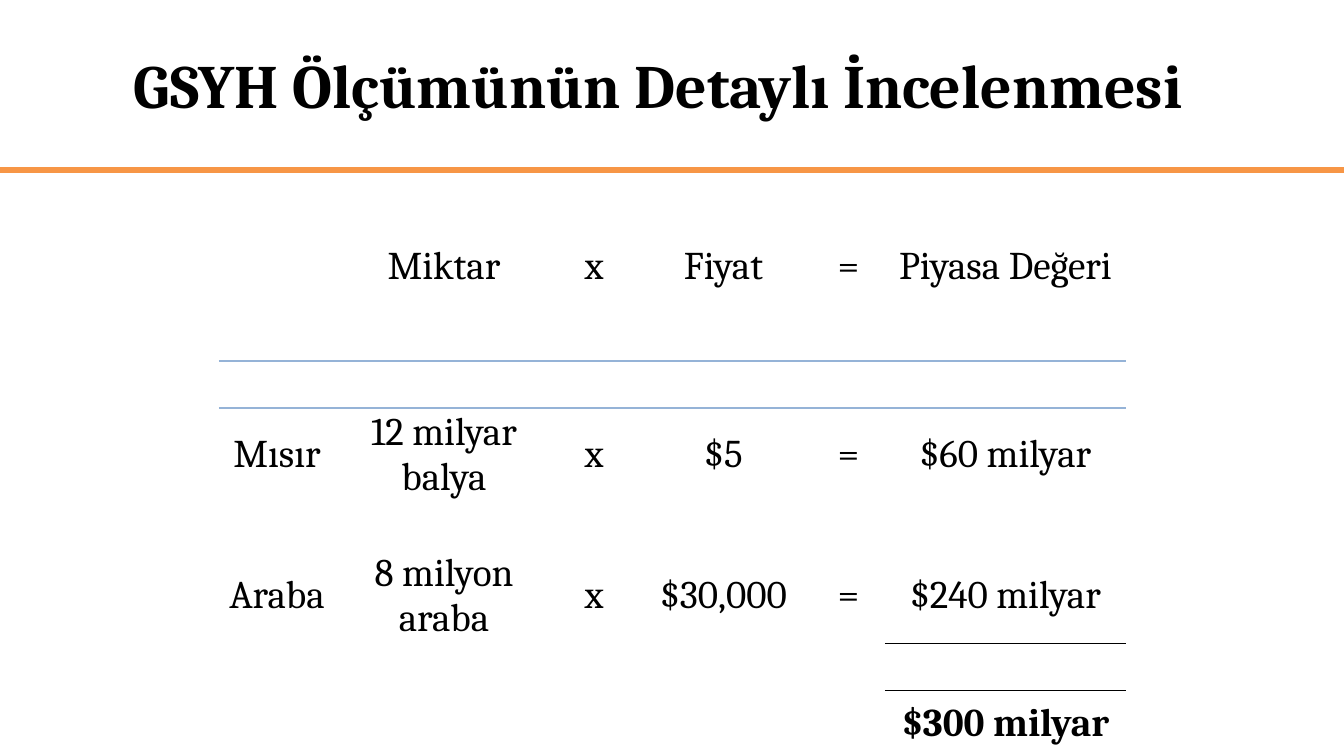
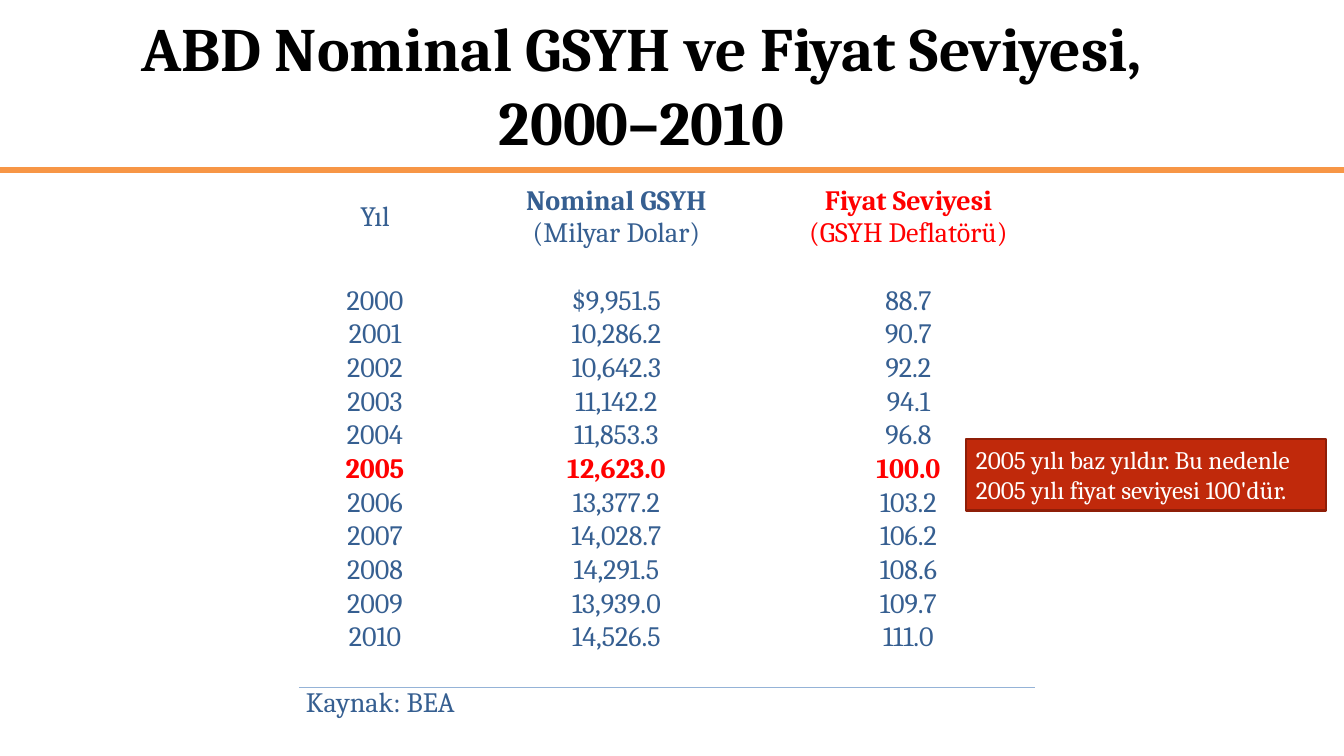
from lxml import etree
from pptx import Presentation
from pptx.dml.color import RGBColor
from pptx.enum.shapes import MSO_CONNECTOR, MSO_SHAPE
from pptx.enum.text import MSO_ANCHOR, PP_ALIGN
from pptx.oxml.ns import qn
from pptx.util import Pt

STRAIGHT, RECT = MSO_CONNECTOR.STRAIGHT, MSO_SHAPE.RECTANGLE
LEFT, CENTER = PP_ALIGN.LEFT, PP_ALIGN.CENTER
TOP, MIDDLE = MSO_ANCHOR.TOP, MSO_ANCHOR.MIDDLE

# Shared look
EMU_PER_PX = 914400 / 100.8
WIDTH, HEIGHT = 1344, 756
FONT = "Cambria"
BLACK, WHITE, ORANGE = "000000", "FFFFFF", "F79646"
BLUE, PALE_BLUE, RED = "365F91", "95B3D7", "FF0000"
BRICK, DARK_BRICK = "C0290B", "8E1E08"
RULE_Y, TITLE_H = 170, 168
PLAIN_TABLE = "{2D5ABB26-0587-4C30-8999-92F81FD0307C}"

# Slide contents
MARKET_ROWS = {
    0: ["", "Miktar", "x", "Fiyat", "=", "Piyasa Değeri"],
    3: ["Mısır", "12 milyar balya", "x", "$5", "=", "$60 milyar"],
    5: ["Araba", "8 milyon araba", "x", "$30,000", "=", "$240 milyar"],
}
BASE_YEAR = "2005"
GDP_ROWS = [
    ("2000", "$9,951.5", "88.7"),
    ("2001", "10,286.2", "90.7"),
    ("2002", "10,642.3", "92.2"),
    ("2003", "11,142.2", "94.1"),
    ("2004", "11,853.3", "96.8"),
    ("2005", "12,623.0", "100.0"),
    ("2006", "13,377.2", "103.2"),
    ("2007", "14,028.7", "106.2"),
    ("2008", "14,291.5", "108.6"),
    ("2009", "13,939.0", "109.7"),
    ("2010", "14,526.5", "111.0"),
]


def px(n):
    return round(n * EMU_PER_PX)


def rgb(color):
    return RGBColor.from_string(color)


def write(tf, text, size=20, color=BLACK, bold=False, align=CENTER,
          bold_first=False):
    """Write one paragraph per line of text."""
    tf.word_wrap = True
    for i, line in enumerate(text.split("\n")):
        p = tf.add_paragraph() if i else tf.paragraphs[0]
        p.alignment = align
        r = p.add_run()
        r.text = line
        r.font.name, r.font.size = FONT, Pt(size)
        r.font.bold = bold or (bold_first and i == 0)
        r.font.color.rgb = rgb(color)


def add_slide(prs, title, x, w):
    """Add a slide with its title and the rule below it."""
    s = prs.slides.add_slide(prs.slide_layouts[6])
    rule = s.shapes.add_connector(STRAIGHT, 0, px(RULE_Y), px(WIDTH), px(RULE_Y))
    rule.line.color.rgb = rgb(ORANGE)
    rule.line.width = Pt(4.5)
    etree.SubElement(rule._element.spPr, qn("a:effectLst"))
    tf = s.shapes.add_textbox(px(x), 0, px(w), px(TITLE_H)).text_frame
    tf.vertical_anchor = MIDDLE
    write(tf, title, size=44, bold=True)
    return s


def add_table(s, x, y, cols, rows):
    """Add an unfilled table with the given column widths and row heights."""
    table = s.shapes.add_table(len(rows), len(cols), px(x), px(y),
                               px(sum(cols)), px(sum(rows))).table
    table.first_row = table.horz_banding = False
    table._tbl.tblPr.find(qn("a:tableStyleId")).text = PLAIN_TABLE
    for column, w in zip(table.columns, cols):
        column.width = px(w)
    for row, h in zip(table.rows, rows):
        row.height = px(h)
    for cell in table.iter_cells():
        cell.margin_left = cell.margin_right = px(7)
        cell.margin_top = cell.margin_bottom = 0
        cell.vertical_anchor = MIDDLE
        cell.fill.background()
    return table


def border(cell, side, color):
    ln = etree.Element(qn("a:" + side), w=str(Pt(1)))
    fill = etree.SubElement(ln, qn("a:solidFill"))
    etree.SubElement(fill, qn("a:srgbClr"), val=color)
    cell._tc.get_or_add_tcPr().insert(0, ln)


def line_below(table, row, columns, color):
    """Draw a line between a row and the next one."""
    for c in columns:
        border(table.cell(row, c), "lnB", color)
        border(table.cell(row + 1, c), "lnT", color)


def fill_row(table, row, texts, **fmt):
    for c, text in enumerate(texts):
        if text:
            write(table.cell(row, c).text_frame, text, **fmt)


def market_value_slide(prs):
    s = add_slide(prs, "GSYH Ölçümünün Detaylı İncelenmesi", 106, 1105)
    table = add_table(s, 219, 220, [116, 218, 82, 177, 73, 241],
                      [94, 47, 47, 94, 47, 94, 47, 66])
    for row, texts in MARKET_ROWS.items():
        fill_row(table, row, texts, size=28)
    write(table.cell(7, 5).text_frame, "$300 milyar", size=28, bold=True)
    line_below(table, 1, range(6), PALE_BLUE)
    line_below(table, 5, [5], BLACK)


def price_level_slide(prs):
    s = add_slide(prs, "ABD Nominal GSYH ve Fiyat Seviyesi, 2000–2010", 83, 1118)
    table = add_table(s, 299, 184, [152, 331, 253], [66] + [33] * 13 + [22])

    # Column heads
    fill_row(table, 0, ["Yıl"], color=BLUE)
    write(table.cell(0, 1).text_frame, "Nominal GSYH\n(Milyar Dolar)",
          color=BLUE, bold_first=True)
    write(table.cell(0, 2).text_frame, "Fiyat Seviyesi\n(GSYH Deflatörü)",
          color=RED, bold_first=True)

    # Years, with the base year picked out
    for row, texts in enumerate(GDP_ROWS, start=2):
        base = texts[0] == BASE_YEAR
        fill_row(table, row, texts, color=RED if base else BLUE, bold=base)

    # Source line
    line_below(table, 13, range(3), PALE_BLUE)
    source = table.cell(14, 0)
    source.merge(table.cell(14, 2))
    source.vertical_anchor = TOP
    write(source.text_frame, "Kaynak: BEA", color=BLUE, align=LEFT)

    # Note on the base year
    note = s.shapes.add_shape(RECT, px(966), px(439), px(360), px(72))
    note.shadow.inherit = False
    note.fill.solid()
    note.fill.fore_color.rgb = rgb(BRICK)
    note.line.color.rgb = rgb(DARK_BRICK)
    note.line.width = Pt(2)
    note.text_frame.vertical_anchor = TOP
    write(note.text_frame,
          "2005 yılı baz yıldır. Bu nedenle\n2005 yılı fiyat seviyesi 100'dür.",
          size=18, color=WHITE, align=LEFT)


def main():
    prs = Presentation()
    prs.slide_width, prs.slide_height = px(WIDTH), px(HEIGHT)
    market_value_slide(prs)
    price_level_slide(prs)
    prs.save("out.pptx")


if __name__ == "__main__":
    main()
